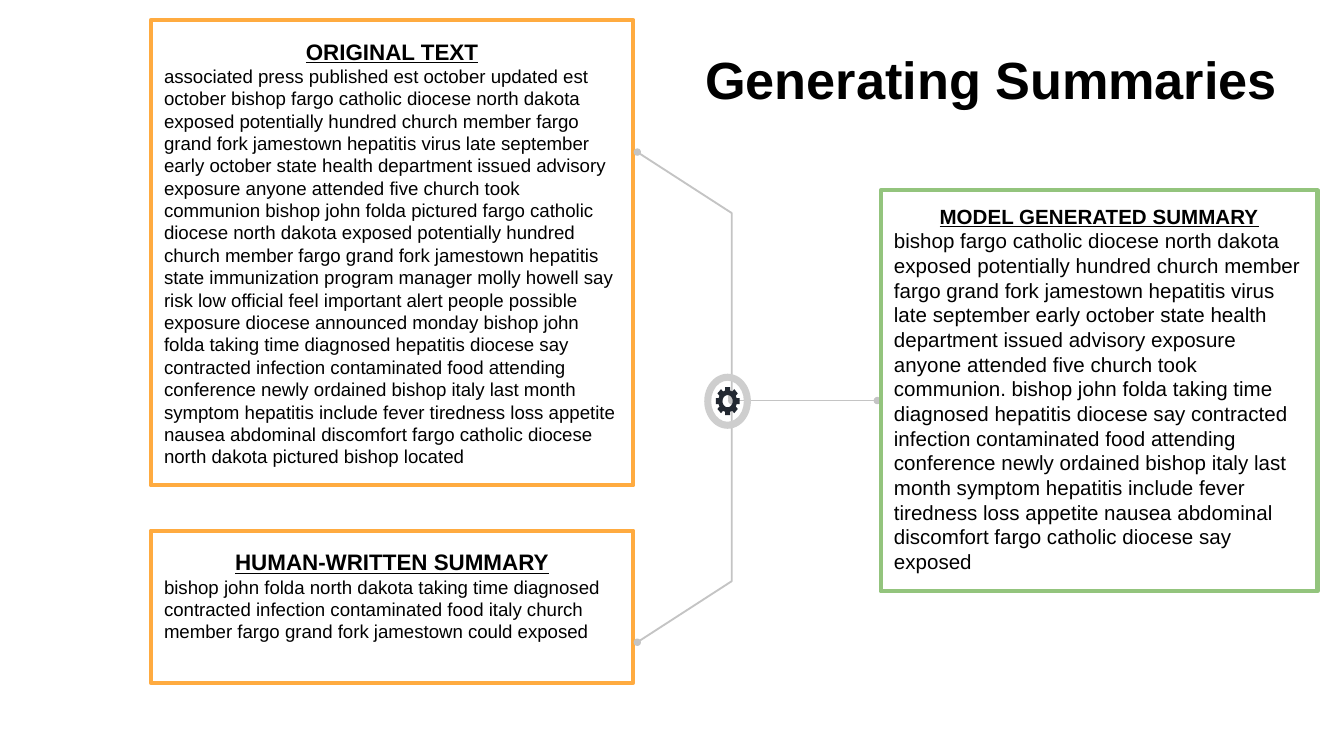
import math

import pptx
import pptx.dml.color
import pptx.enum.dml
import pptx.enum.shapes
import pptx.enum.text
import pptx.oxml
import pptx.oxml.ns
import pptx.util

Pt = pptx.util.Pt
RGBColor = pptx.dml.color.RGBColor
SHAPE = pptx.enum.shapes.MSO_SHAPE
ANCHOR = pptx.enum.text.MSO_ANCHOR
ALIGN = pptx.enum.text.PP_ALIGN

BLACK = RGBColor(0x00, 0x00, 0x00)
WHITE = RGBColor(0xFF, 0xFF, 0xFF)
ORANGE = RGBColor(0xFF, 0xAB, 0x40)
GREEN = RGBColor(0x93, 0xC4, 0x7D)
LINE_GREY = RGBColor(0xC4, 0xC4, 0xC4)
RING_GREY = RGBColor(0xCE, 0xCE, 0xCE)
GEAR_NAVY = RGBColor(0x22, 0x28, 0x31)

INSET = 7.2
LINE_RATIO = 1.2

ORIGINAL_TEXT = " ".join([
    "associated press published est october updated est october bishop fargo catholic diocese",
    "north dakota exposed potentially hundred church member fargo grand fork jamestown hepatitis",
    "virus late september early october state health department issued advisory exposure anyone",
    "attended five church took communion bishop john folda pictured fargo catholic diocese north",
    "dakota exposed potentially hundred church member fargo grand fork jamestown hepatitis state",
    "immunization program manager molly howell say risk low official feel important alert people",
    "possible exposure diocese announced monday bishop john folda taking time diagnosed hepatitis",
    "diocese say contracted infection contaminated food attending conference newly ordained bishop",
    "italy last month symptom hepatitis include fever tiredness loss appetite nausea abdominal",
    "discomfort fargo catholic diocese north dakota pictured bishop located",
])
HUMAN_SUMMARY = " ".join([
    "bishop john folda north dakota taking time diagnosed contracted infection contaminated food",
    "italy church member fargo grand fork jamestown could exposed",
])
MODEL_SUMMARY = " ".join([
    "bishop fargo catholic diocese north dakota exposed potentially hundred church member fargo",
    "grand fork jamestown hepatitis virus late september early october state health department",
    "issued advisory exposure anyone attended five church took communion. bishop john folda taking",
    "time diagnosed hepatitis diocese say contracted infection contaminated food attending",
    "conference newly ordained bishop italy last month symptom hepatitis include fever tiredness",
    "loss appetite nausea abdominal discomfort fargo catholic diocese say exposed",
])


def set_frame(frame, anchor, bottom=INSET):
    values = {
        "word_wrap": True,
        "vertical_anchor": anchor,
        "margin_left": Pt(INSET),
        "margin_top": Pt(INSET),
        "margin_right": Pt(INSET),
        "margin_bottom": Pt(bottom),
    }
    for name, value in values.items():
        setattr(frame, name, value)


def write_para(para, text, size, align=ALIGN.LEFT, **style):
    para.alignment = align
    para.line_spacing = Pt(size * LINE_RATIO)
    span = para.add_run()
    span.text = text
    span.font.color.rgb = BLACK
    for name, value in {"name": "Arial", "size": Pt(size), **style}.items():
        setattr(span.font, name, value)


def add_title(page, box, text):
    frame = page.shapes.add_textbox(*map(Pt, box)).text_frame
    set_frame(frame, ANCHOR.TOP)
    write_para(frame.paragraphs[0], text, 28, bold=True)


def add_text_panel(page, box, preset, color, heading, body, sizes,
                   anchor=ANCHOR.MIDDLE, bottom=INSET):
    panel = page.shapes.add_shape(preset, *map(Pt, box))
    panel.shadow.inherit = False
    if preset == SHAPE.ROUNDED_RECTANGLE:
        panel.adjustments[0] = 0
        panel.fill.solid()
        panel.fill.fore_color.rgb = WHITE
    else:
        panel.fill.background()
    panel.line.color.rgb = color
    panel.line.width = Pt(2.25)
    frame = panel.text_frame
    set_frame(frame, anchor, bottom)
    write_para(frame.paragraphs[0], heading, sizes[0], ALIGN.CENTER, bold=True, underline=True)
    write_para(frame.add_paragraph(), body, sizes[1])


def style_link(link):
    """Thin grey line with a small dot at both ends and no shadow."""
    link.line.color.rgb = LINE_GREY
    link.line.width = Pt(1)
    properties = link._element.spPr
    namespace = pptx.oxml.ns.nsdecls("a")
    line = properties.find(pptx.oxml.ns.qn("a:ln"))
    for end in ("headEnd", "tailEnd"):
        line.append(pptx.oxml.parse_xml(f'<a:{end} {namespace} type="oval" w="sm" len="sm"/>'))
    properties.append(pptx.oxml.parse_xml(f"<a:effectLst {namespace}/>"))


def add_bent_link(page, start, bend, hub):
    builder = page.shapes.build_freeform(*map(Pt, start), scale=1.0)
    builder.add_line_segments([tuple(map(Pt, point)) for point in (bend, hub)], close=False)
    link = builder.convert_to_shape()
    link.fill.background()
    style_link(link)


def add_links(page, hub, left, right, reach, bend):
    """Two mirrored bent lines to the left of the hub and a straight one to its right."""
    x, y = hub
    for side in (-1, 1):
        add_bent_link(page, (left, y + side * reach), (x, y + side * bend), hub)
    link = page.shapes.add_connector(
        pptx.enum.shapes.MSO_CONNECTOR.STRAIGHT, Pt(x), Pt(y + 1.8), Pt(right), Pt(y + 1.8))
    style_link(link)


def fill_plain(shape, color):
    shape.shadow.inherit = False
    shape.fill.solid()
    shape.fill.fore_color.rgb = color
    shape.line.fill.background()


def add_gear_badge(page, box):
    left, top, width, height = box
    ring = page.shapes.add_shape(SHAPE.DONUT, *map(Pt, box))
    ring.adjustments[0] = 0.15
    fill_plain(ring, RING_GREY)

    def at(angle, radius):
        turn = math.radians(angle)
        return (Pt(left + width * (0.5 + radius * math.cos(turn))),
                Pt(top + height * (0.5 + radius * math.sin(turn))))

    teeth = [at(45 * tooth + offset, radius) for tooth in range(8)
             for offset, radius in ((-16, 0.2), (-12, 0.26), (12, 0.26), (16, 0.2))]
    hole = [at(-15 * step, 0.11) for step in range(24)]
    builder = page.shapes.build_freeform(*teeth[0], scale=1.0)
    builder.add_line_segments(teeth[1:], close=True)
    builder.move_to(*hole[0])
    builder.add_line_segments(hole[1:], close=True)
    fill_plain(builder.convert_to_shape(), GEAR_NAVY)


def main():
    deck = pptx.Presentation()
    deck.slide_width, deck.slide_height = Pt(720), Pt(405)
    page = deck.slides.add_slide(deck.slide_layouts[6])

    add_text_panel(page, (80.8, 10.7, 258.5, 249.3), SHAPE.ROUNDED_RECTANGLE, ORANGE,
                   "ORIGINAL TEXT", ORIGINAL_TEXT, (12, 10))
    add_text_panel(page, (80.8, 284.4, 258.5, 81.4), SHAPE.ROUNDED_RECTANGLE, ORANGE,
                   "HUMAN-WRITTEN SUMMARY", HUMAN_SUMMARY, (12, 10), bottom=INSET + 12)
    add_links(page, hub=(392, 212.8), left=341.4, right=470, reach=131.3, bend=98.6)
    add_gear_badge(page, (377.3, 200.2, 25, 29.5))
    add_text_panel(page, (471.8, 102, 234, 214.8), SHAPE.RECTANGLE, GREEN,
                   "MODEL GENERATED SUMMARY", MODEL_SUMMARY, (11, 11), anchor=ANCHOR.TOP)
    add_title(page, (370.8, 18, 334.8, 45.4), "Generating Summaries")
    deck.save("out.pptx")


if __name__ == "__main__":
    main()
